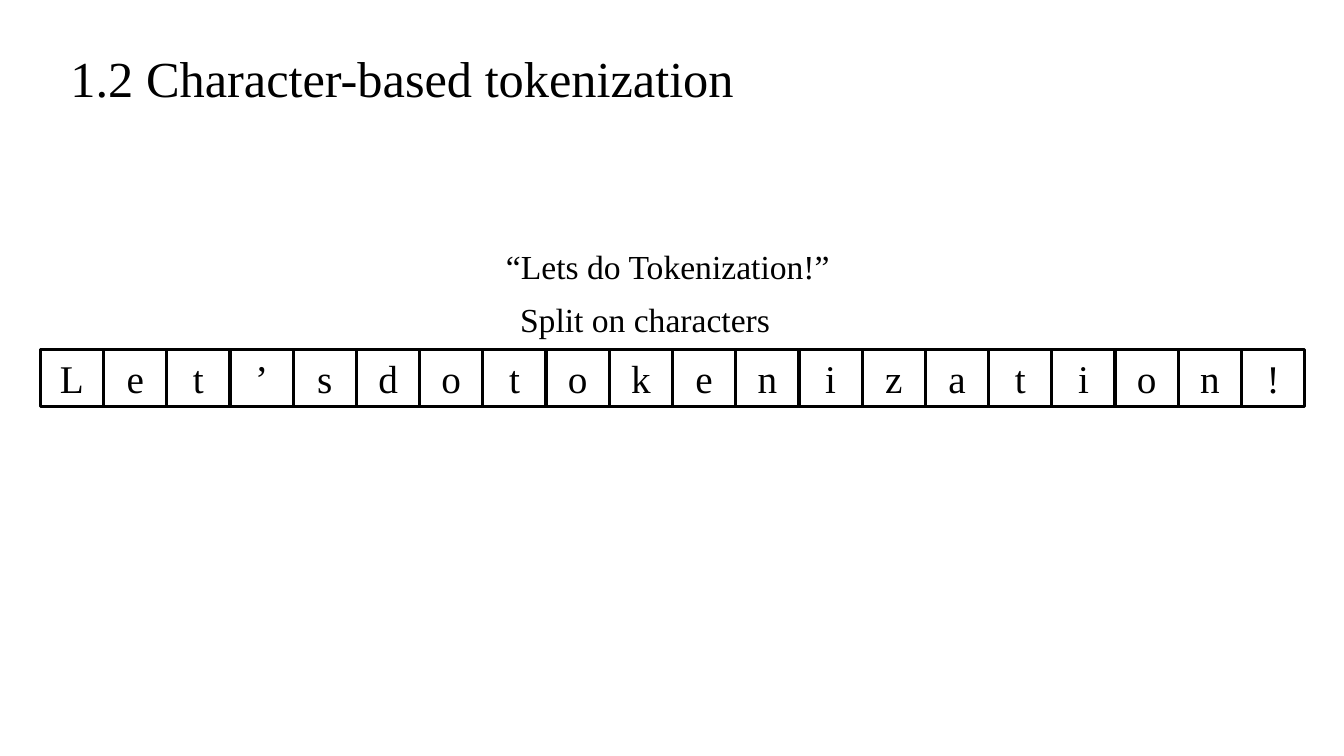
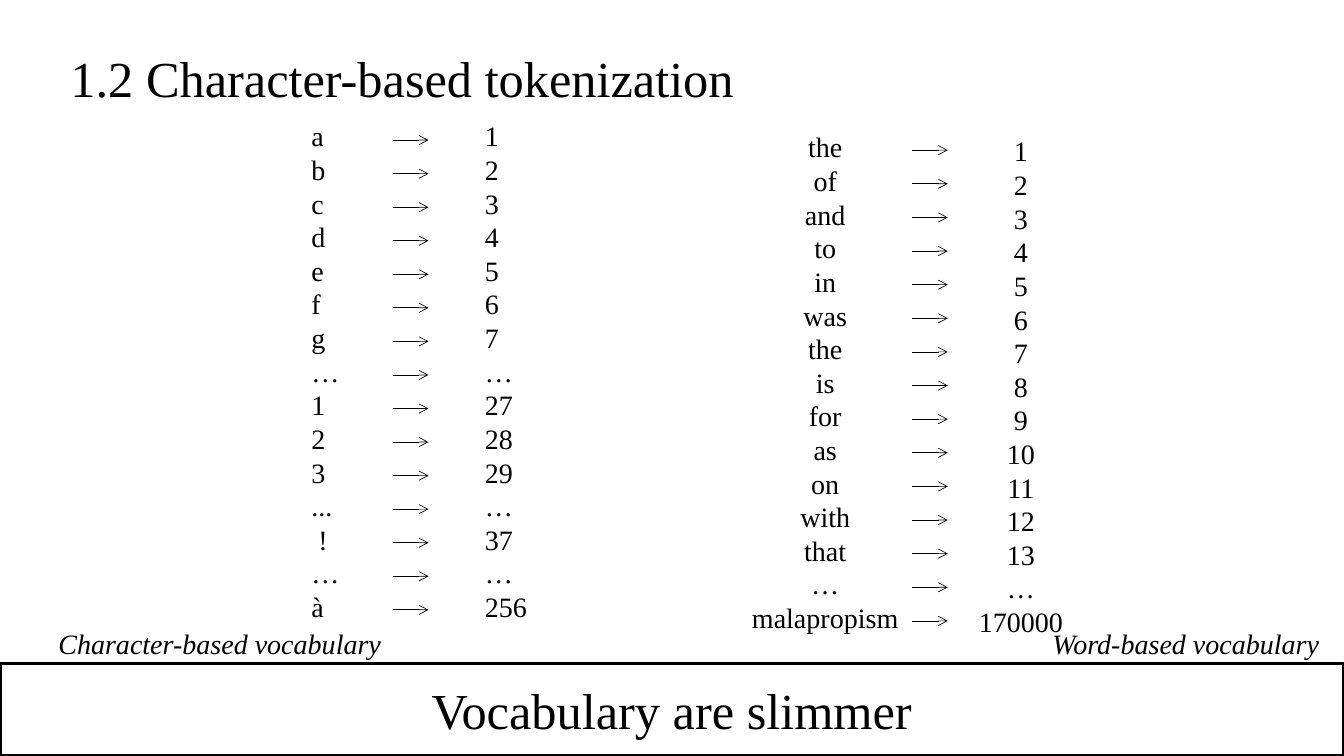
from lxml.etree import SubElement
from pptx import Presentation
from pptx.dml.color import RGBColor
from pptx.enum.shapes import MSO_CONNECTOR, MSO_SHAPE
from pptx.enum.text import MSO_ANCHOR, MSO_AUTO_SIZE, PP_ALIGN
from pptx.oxml.ns import qn
from pptx.util import Inches, Pt

# Shared style
BLACK = RGBColor(0x00, 0x00, 0x00)
FONT = "Times New Roman"
TITLE = "1.2 Character-based tokenization"
SLIDE_WIDTH, SLIDE_HEIGHT = 13.33, 7.5

# Vocabulary entries
CHARACTERS = ["a", "b", "c", "d", "e", "f", "g", "…",
              "1", "2", "3", "...", " !", "…", "à"]
CHARACTER_IDS = ["1", "2", "3", "4", "5", "6", "7", "…",
                 "27", "28", "29", "…", "37", "…", "256"]
WORDS = ["the", "of", "and", "to", "in", "was", "the", "is", "for",
         "as", "on", "with", "that", "…", "malapropism"]
WORD_IDS = [str(number) for number in range(1, 14)] + ["…", "170000"]


def write_lines(frame, lines, size=20, align=PP_ALIGN.LEFT, italic=False):
    """Fill a text frame with one paragraph per line."""
    frame.word_wrap = True
    for index, line in enumerate(lines):
        para = frame.paragraphs[0] if index == 0 else frame.add_paragraph()
        para.alignment = align
        span = para.add_run()
        span.text = line
        span.font.name = FONT
        span.font.size = Pt(size)
        span.font.italic = italic
        span.font.color.rgb = BLACK


def add_text(shapes, lines, left, top, width, height, **text_format):
    box = shapes.add_textbox(Inches(left), Inches(top),
                             Inches(width), Inches(height))
    write_lines(box.text_frame, lines, **text_format)
    box.text_frame.auto_size = MSO_AUTO_SIZE.SHAPE_TO_FIT_TEXT


def add_framed_box(shapes, text, left, top, width, height, size):
    box = shapes.add_shape(MSO_SHAPE.RECTANGLE, Inches(left), Inches(top),
                           Inches(width), Inches(height))
    box.shadow.inherit = False
    box.fill.background()
    box.line.color.rgb = BLACK
    box.line.width = Pt(2.25)
    box.text_frame.vertical_anchor = MSO_ANCHOR.MIDDLE
    write_lines(box.text_frame, [text], size=size, align=PP_ALIGN.CENTER)


def add_arrow(shapes, left, top, length=0.35):
    arrow = shapes.add_connector(MSO_CONNECTOR.STRAIGHT, Inches(left), Inches(top),
                                 Inches(left + length), Inches(top))
    arrow.line.color.rgb = BLACK
    arrow.line.width = Pt(0.5)
    SubElement(arrow.line._get_or_add_ln(), qn("a:tailEnd"), type="arrow")
    SubElement(arrow._element.spPr, qn("a:effectLst"))


def add_arrow_column(shapes, left, first, last, count):
    step = (last - first) / (count - 1)
    for row in range(count):
        add_arrow(shapes, left, first + row * step)


def add_page(deck):
    """Add a blank page with the shared title."""
    page = deck.slides.add_slide(deck.slide_layouts[6])
    add_text(page.shapes, [TITLE], 0.6, 0.42, 8.35, 0.71, size=36)
    return page


def build_split_page(deck):
    shapes = add_page(deck).shapes
    add_text(shapes, ["“Lets do Tokenization!”"], 4.92, 2.39, 3.49, 0.5, size=24)
    add_text(shapes, ["Split on characters"], 5.06, 2.92, 2.86, 0.5, size=24)

    # One cell per character
    tokens = "Let’sdotokenization!"
    cell_width = 12.54 / len(tokens)
    for column, token in enumerate(tokens):
        add_framed_box(shapes, token, 0.4 + column * cell_width, 3.47,
                       cell_width, 0.56, size=28)


def build_vocabulary_page(deck):
    shapes = add_page(deck).shapes

    # Conclusion band
    add_framed_box(shapes, "Vocabulary are slimmer", 0, 6.58,
                   SLIDE_WIDTH, SLIDE_HEIGHT - 6.58, size=36)

    # Character vocabulary
    group = shapes.add_group_shape().shapes
    add_text(group, CHARACTERS, 2.99, 1.13, 0.91, 5.15)
    add_text(group, CHARACTER_IDS, 4.71, 1.13, 0.91, 5.15)
    add_arrow_column(group, 3.9, 1.39, 6.05, len(CHARACTERS))
    add_text(shapes, ["Character-based vocabulary"], 0.48, 6.17, 3.45, 0.44,
             italic=True)

    # Word vocabulary
    add_text(shapes, WORDS, 7.07, 1.24, 2.23, 5.15, align=PP_ALIGN.CENTER)
    add_text(shapes, WORD_IDS, 9.55, 1.28, 1.15, 5.15, align=PP_ALIGN.CENTER)
    add_arrow_column(shapes, 9.05, 1.49, 6.16, len(WORDS))
    add_text(shapes, ["Word-based vocabulary"], 10.34, 6.17, 2.99, 0.44,
             italic=True)


def main():
    deck = Presentation()
    deck.slide_width = Inches(SLIDE_WIDTH)
    deck.slide_height = Inches(SLIDE_HEIGHT)
    build_split_page(deck)
    build_vocabulary_page(deck)
    deck.save("out.pptx")


if __name__ == "__main__":
    main()
